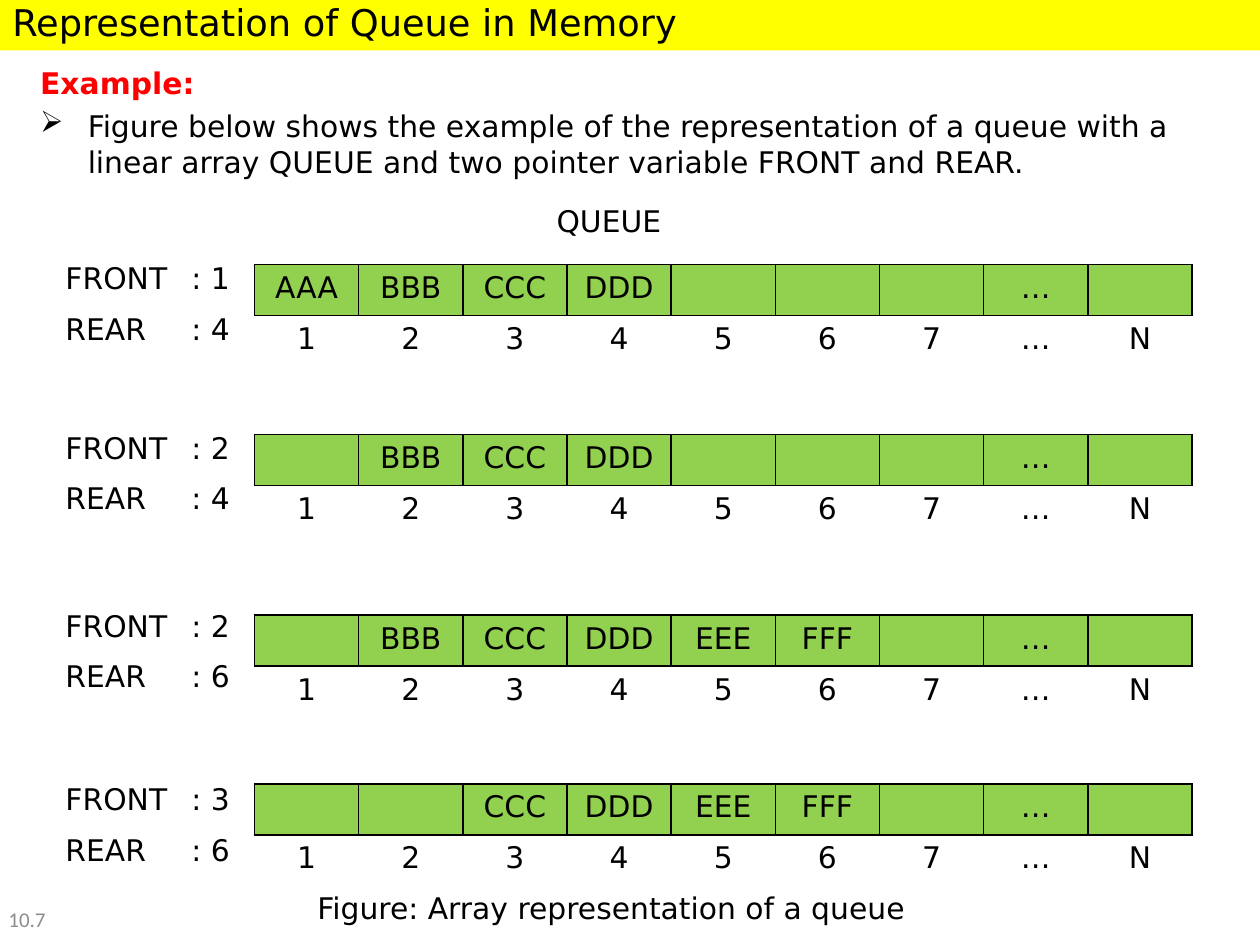
"""Build a slide showing a queue held in a linear array at four moments."""
from lxml.etree import SubElement
from pptx import Presentation
from pptx.dml.color import RGBColor
from pptx.enum.shapes import MSO_SHAPE
from pptx.enum.text import MSO_ANCHOR, PP_ALIGN
from pptx.oxml import parse_xml
from pptx.oxml.ns import nsdecls, qn
from pptx.util import Cm, Pt

BLACK = RGBColor(0x00, 0x00, 0x00)
RED = RGBColor(0xFF, 0x00, 0x00)
YELLOW = RGBColor(0xFF, 0xFF, 0x00)
GREEN = RGBColor(0x92, 0xD0, 0x50)
GRAY = RGBColor(0x8C, 0x8C, 0x8C)

BODY = {"name": "DejaVu Sans", "size": Pt(17), "color": BLACK}
TITLE = {**BODY, "size": Pt(21)}
HEADING = {**BODY, "color": RED, "bold": True}
NUMBER = {"name": "Calibri", "size": Pt(12), "color": GRAY}

INTRO = [
    ("Example:", HEADING),
    ("Figure below shows the example of the representation of a queue with a "
     "linear array QUEUE and two pointer variable FRONT and REAR.", BODY),
]
LABELS = [
    ("QUEUE", (10.97, 3.96, 3.81, 1.02), BODY, MSO_ANCHOR.TOP),
    ("Figure: Array representation of a queue", (6.15, 17.81, 15.04, 1.02), BODY, MSO_ANCHOR.TOP),
    ("10.7", (-0.08, 18.01, 2.34, 1.04), NUMBER, MSO_ANCHOR.MIDDLE),
]
INDEXES = ["1", "2", "3", "4", "5", "6", "7", "…", "N"]
ITEMS = ["AAA", "BBB", "CCC", "DDD", "EEE", "FFF"]
STATES = [
    {"front": 1, "rear": 4, "pointer_top": 5.11, "array_top": 5.33},
    {"front": 2, "rear": 4, "pointer_top": 8.53, "array_top": 8.76},
    {"front": 2, "rear": 6, "pointer_top": 12.12, "array_top": 12.4},
    {"front": 3, "rear": 6, "pointer_top": 15.62, "array_top": 15.8},
]
POINTER_LEFT, POINTER_WIDTH, POINTER_HEIGHT = 1.07, 4.24, 2.08
ARRAY_LEFT, CELL_WIDTH, CELL_HEIGHT = 5.13, 2.1, 1.03


def write(para, text, look):
    span = para.add_run()
    span.text = text
    for name, value in look.items():
        if name == "color":
            span.font.color.rgb = value
        else:
            setattr(span.font, name, value)


def add_text(page, place, lines, gap=0, anchor=MSO_ANCHOR.TOP):
    frame = page.shapes.add_textbox(*map(Cm, place)).text_frame
    frame.word_wrap = True
    frame.vertical_anchor = anchor
    for number, (text, look) in enumerate(lines):
        para = frame.add_paragraph() if number else frame.paragraphs[0]
        if number:
            para.space_before = Pt(gap)
        write(para, text, look)
    return frame


def add_title(page, text):
    band = page.shapes.add_shape(MSO_SHAPE.RECTANGLE, *map(Cm, (0, -0.13, 25.4, 1.15)))
    band.shadow.inherit = False
    band.fill.solid()
    band.fill.fore_color.rgb = YELLOW
    band.line.fill.background()
    band.text_frame.vertical_anchor = MSO_ANCHOR.TOP
    para = band.text_frame.paragraphs[0]
    para.alignment = PP_ALIGN.LEFT
    write(para, text, TITLE)


def add_intro(page):
    frame = add_text(page, (0.56, 1.19, 23.5, 1.73), INTRO, gap=4)
    for para in frame.paragraphs:
        properties = para._p.get_or_add_pPr()
        properties.set("marL", str(Cm(0.96)))
        properties.set("indent", str(-Cm(0.96)))
    SubElement(properties, qn("a:buChar"), char="➢")


def set_borders(cell, drawn):
    properties = cell._tc.get_or_add_tcPr()
    for position, side in enumerate("LRTB"):
        paint = f'<a:solidFill><a:srgbClr val="{BLACK}"/></a:solidFill>' if side in drawn else "<a:noFill/>"
        properties.insert(position, parse_xml(
            f'<a:ln{side} {nsdecls("a")} w="{Pt(1)}">{paint}</a:ln{side}>'))


def add_array(page, state):
    stored = [item if state["front"] <= place <= state["rear"] else ""
              for place, item in enumerate(ITEMS, 1)] + ["", "…", ""]
    place = (ARRAY_LEFT, state["array_top"], CELL_WIDTH * len(INDEXES), CELL_HEIGHT * 2)
    table = page.shapes.add_table(2, len(INDEXES), *map(Cm, place)).table
    table.first_row = table.horz_banding = False
    for column in table.columns:
        column.width = Cm(CELL_WIDTH)
    for row, texts, borders in zip(table.rows, (stored, INDEXES), ("LRTB", "T")):
        row.height = Cm(CELL_HEIGHT)
        for cell, text in zip(row.cells, texts):
            if texts is stored:
                cell.fill.solid()
                cell.fill.fore_color.rgb = GREEN
            else:
                cell.fill.background()
            set_borders(cell, borders)
            if text:
                para = cell.text_frame.paragraphs[0]
                para.alignment = PP_ALIGN.CENTER
                write(para, text, BODY)


def main():
    deck = Presentation()
    deck.slide_width, deck.slide_height = Cm(25.4), Cm(19.05)
    page = deck.slides.add_slide(deck.slide_layouts[6])
    add_title(page, "Representation of Queue in Memory")
    add_intro(page)
    for text, place, look, anchor in LABELS:
        add_text(page, place, [(text, look)], anchor=anchor)
    for state in STATES:
        place = (POINTER_LEFT, state["pointer_top"], POINTER_WIDTH, POINTER_HEIGHT)
        pointers = [(f"{name.upper()}\t: {state[name]}", BODY) for name in ("front", "rear")]
        add_text(page, place, pointers, gap=8.5)
        add_array(page, state)
    deck.save("out.pptx")


if __name__ == "__main__":
    main()
